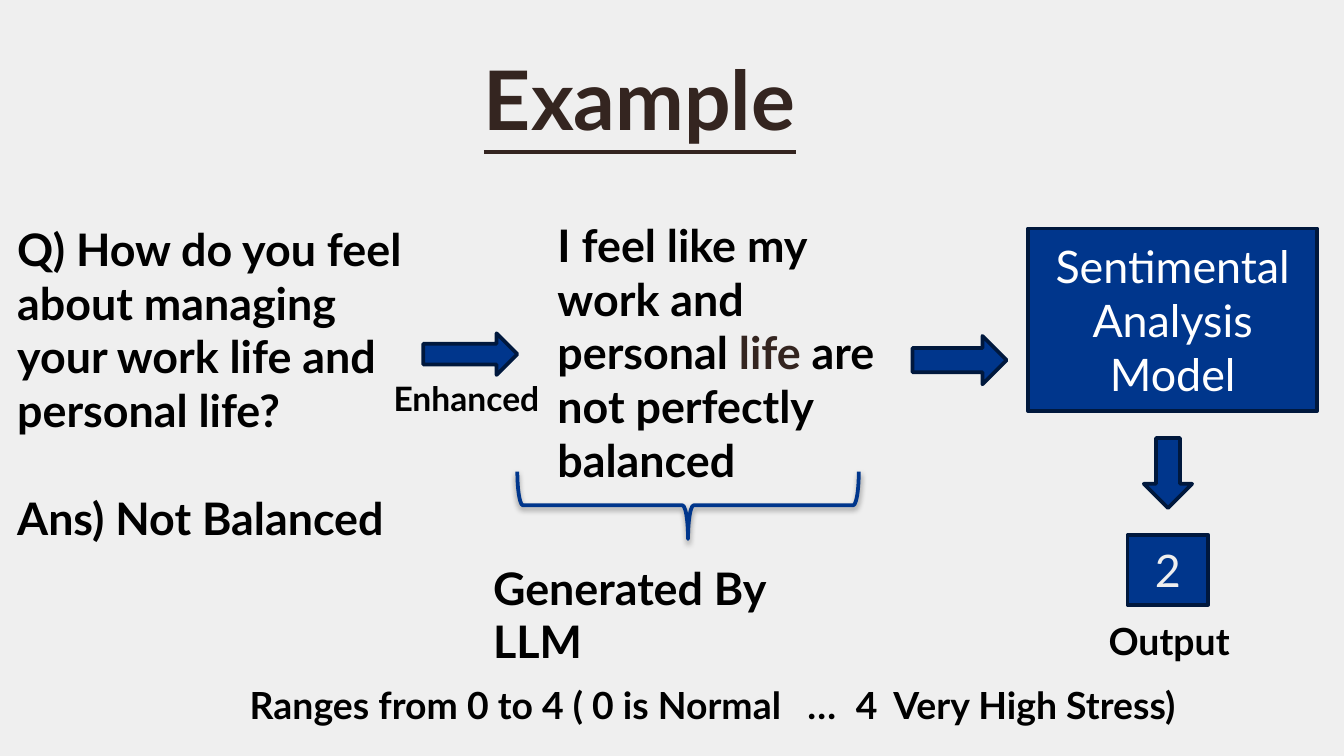
from lxml import etree
from pptx import Presentation
from pptx.dml.color import RGBColor
from pptx.enum import shapes, text
from pptx.oxml import ns
from pptx.util import Inches, Pt

FONT = "Lato"
BLUE, NAVY, BROWN = "00368C", "00183D", "342520"
BLACK, WHITE, PAPER = "000000", "FFFFFF", "EFEFEF"
SHAPE = shapes.MSO_SHAPE
ALIGN, ANCHOR = text.PP_ALIGN, text.MSO_ANCHOR


def rgb(value):
    return RGBColor.from_string(value)


def write(p, words, size=24, color=BLACK, bold=True, underline=None):
    """Add one formatted run to a paragraph."""
    r = p.add_run()
    r.text = words
    r.font.name, r.font.size = FONT, Pt(size)
    r.font.bold, r.font.underline = bold, underline
    r.font.color.rgb = rgb(color)


def add_text(s, x, y, w, h, words="", **fmt):
    """Add a wrapping text box and return its first paragraph."""
    sp = s.shapes.add_textbox(Inches(x), Inches(y), Inches(w), Inches(h))
    tf = sp.text_frame
    tf.word_wrap = True
    p = tf.paragraphs[0]
    if words:
        write(p, words, **fmt)
    return p


def add_block(s, kind, x, y, w, h, fill=BLUE, line=NAVY, rotation=0):
    sp = s.shapes.add_shape(kind, Inches(x), Inches(y), Inches(w), Inches(h))
    sp.shadow.inherit = False
    sp.rotation = rotation
    if fill:
        sp.fill.solid()
        sp.fill.fore_color.rgb = rgb(fill)
    else:
        sp.fill.background()
    sp.line.color.rgb = rgb(line)
    sp.line.width = Pt(2)
    return sp


def add_box(s, x, y, w, h, words, color):
    sp = add_block(s, SHAPE.RECTANGLE, x, y, w, h)
    tf = sp.text_frame
    tf.word_wrap = True
    tf.vertical_anchor = ANCHOR.MIDDLE
    tf.paragraphs[0].alignment = ALIGN.CENTER
    write(tf.paragraphs[0], words, color=color, bold=False)


def add_soft_shadow(sp):
    effects = sp._element.spPr.find(ns.qn("a:effectLst"))
    shadow = etree.SubElement(effects, ns.qn("a:outerShdw"), blurRad=str(Pt(3.1)),
                              dist=str(Pt(1.6)), dir="5400000", rotWithShape="0")
    color = etree.SubElement(shadow, ns.qn("a:srgbClr"), val=BLACK)
    etree.SubElement(color, ns.qn("a:alpha"), val="38000")


def add_tabs(p, stops):
    tabs = etree.SubElement(p._p.get_or_add_pPr(), ns.qn("a:tabLst"))
    for stop in stops:
        etree.SubElement(tabs, ns.qn("a:tab"), pos=str(Inches(stop)), algn="l")


def title(s, x, y, w, h):
    sp = s.shapes.title
    sp.left, sp.top, sp.width, sp.height = map(Inches, (x, y, w, h))
    tf = sp.text_frame
    tf.auto_size = text.MSO_AUTO_SIZE.NONE
    tf.vertical_anchor = ANCHOR.TOP
    tf.margin_left = tf.margin_right = Inches(0.1)
    tf.margin_top = tf.margin_bottom = Inches(0.1)
    p = tf.paragraphs[0]
    p.alignment = ALIGN.LEFT
    write(p, "Example", size=44, color=BROWN, underline=True)


def question(s, x, y, w, h):
    p = add_text(s, x, y, w, h, "Q) How do you feel about managing your work "
                                "life and personal life?")
    answer = p._parent.add_paragraph()
    answer.space_before = Pt(28.8)
    write(answer, "Ans) Not Balanced")


def enhancement(s, x, y, w, h):
    add_block(s, SHAPE.RIGHT_ARROW, x + 0.32, y, 0.7, 0.31)
    add_text(s, x, y + 0.28, w, h - 0.28, "Enhanced", size=18)


def generated_answer(s, x, y, w, h):
    p = add_text(s, x + 0.48, y, w - 0.48, 2.12)
    write(p, "I feel like my work and personal ")
    write(p, "life", color=BROWN)
    write(p, " are not perfectly balanced")
    # Brace below the answer, turned to point down
    brace = add_block(s, SHAPE.LEFT_BRACE, x + 1.3, y + 0.92, 0.5, 2.54,
                      fill=None, line=BLUE, rotation=270)
    add_soft_shadow(brace)
    add_text(s, x, y + 2.55, 2.92, h - 2.55, "Generated By LLM")


def model(s, x, y, w, h):
    add_box(s, x, y, w, 1.36, "Sentimental Analysis Model", WHITE)
    add_block(s, SHAPE.RIGHT_ARROW, x + 0.78, y + 1.64, 0.52, 0.36, rotation=90)
    add_box(s, x + 0.74, y + 2.28, 0.6, 0.52, "2", PAPER)
    add_text(s, x + 0.5, y + 2.85, 1.14, h - 2.85, "Output", size=20)


def scale_note(s, x, y, w, h):
    p = add_text(s, x, y, w, h)
    add_tabs(p, (4.15, 4.51, 4.79))
    write(p, "Ranges from 0 to 4 ( 0 is Normal\t…\t4\tVery High Stress)", size=20)


def main():
    prs = Presentation()
    prs.slide_width = Inches(10)
    prs.slide_height = prs.slide_width * 9 // 16
    s = prs.slides.add_slide(prs.slide_layouts[5])
    s.background.fill.solid()
    s.background.fill.fore_color.rgb = rgb(PAPER)

    title(s, 3.5, 0.26, 3.8, 0.63)
    question(s, 0.03, 1.6, 3.13, 2.52)
    enhancement(s, 2.83, 2.48, 1.33, 0.68)
    generated_answer(s, 3.57, 1.57, 3.25, 3.05)
    add_block(s, SHAPE.RIGHT_ARROW, 6.79, 2.5, 0.7, 0.36)
    model(s, 7.65, 1.7, 2.15, 3.29)
    scale_note(s, 1.76, 5.03, 8.66, 0.44)
    prs.save("out.pptx")


if __name__ == "__main__":
    main()
